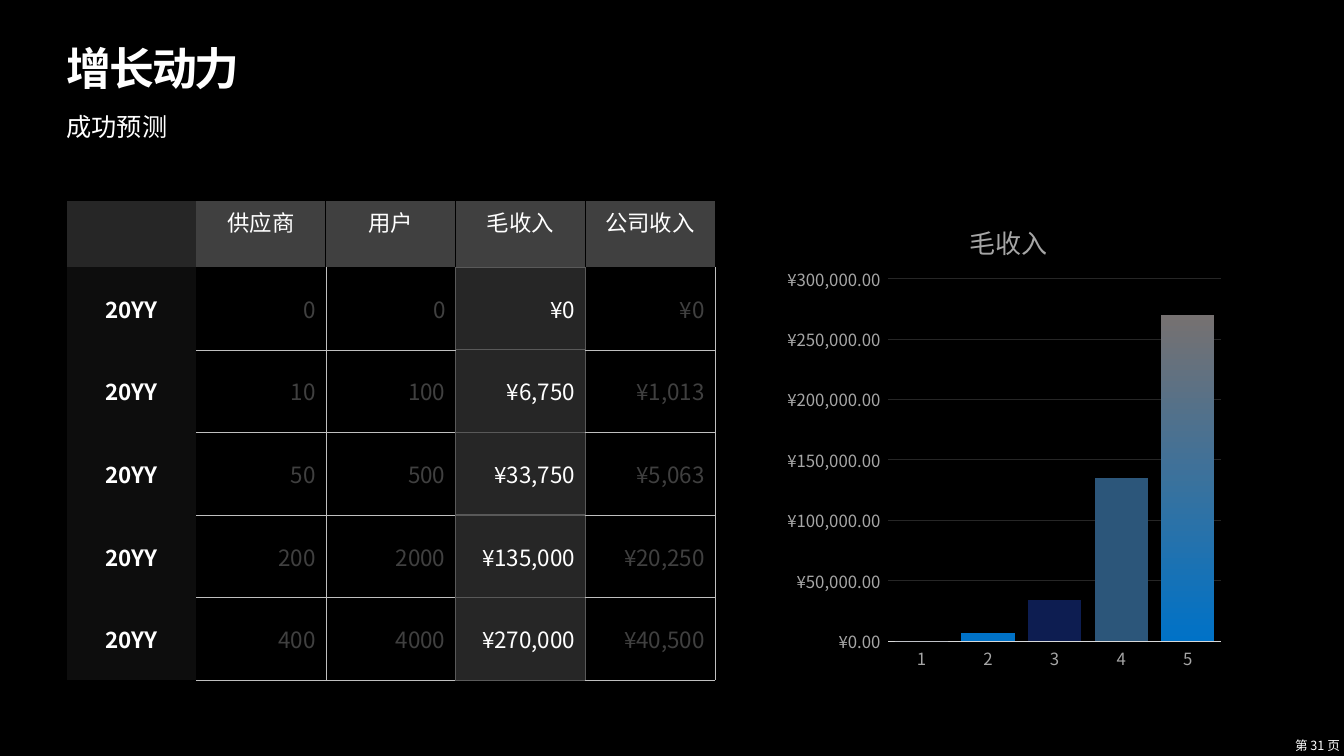
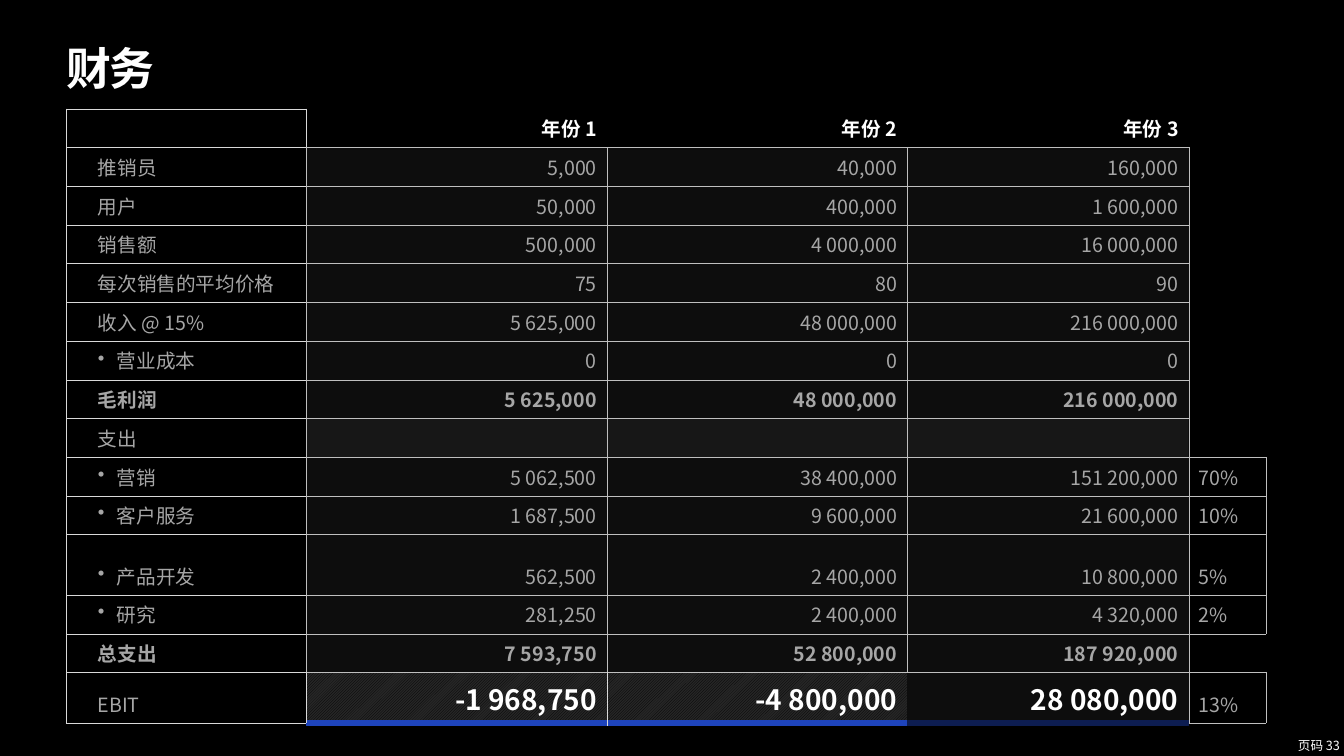
import lxml.etree
import pptx
import pptx.chart.data
import pptx.dml.color
import pptx.enum.chart
import pptx.enum.dml
import pptx.enum.text
import pptx.oxml.ns
import pptx.util

Inches = pptx.util.Inches
Pt = pptx.util.Pt
qn = pptx.oxml.ns.qn
ALIGN = pptx.enum.text.PP_ALIGN
ANCHOR = pptx.enum.text.MSO_ANCHOR

FONT = "Noto Sans CJK SC"
COLORS = {
    "black": "000000", "white": "FFFFFF", "panel": "0D0D0D", "dark": "262626",
    "header": "404040", "edge": "595959", "muted": "A6A6A6", "rule": "BFBFBF",
    "pale": "D9D9D9", "navy": "0D1D51", "royal": "1E44BC", "sky": "0072C7",
    "steel": "2C567A", "stone": "767171",
}
RGB = {name: pptx.dml.color.RGBColor.from_string(value) for name, value in COLORS.items()}
TEXT = {
    "title": ("white", {"size": Pt(32), "bold": True}),
    "subtitle": ("white", {"size": Pt(18), "bold": False}),
    "footer": ("white", {"size": Pt(9), "bold": False}),
    "head": ("white", {"size": Pt(16), "bold": False}),
    "year": ("white", {"size": Pt(16), "bold": True}),
    "faint": ("header", {"size": Pt(16), "bold": False}),
    "column": ("white", {"size": Pt(14), "bold": True}),
    "figure": ("muted", {"size": Pt(14), "bold": False}),
    "total": ("muted", {"size": Pt(14), "bold": True}),
    "result": ("white", {"size": Pt(20), "bold": True}),
    "axis": ("muted", {"size": Pt(12), "bold": False}),
    "chart title": ("muted", {"size": Pt(18.6), "bold": False}),
}
RULE, PALE, BLACK = ("rule", 0.25), ("pale", 0.25), ("black", 0.25)
EDGE, GAP = ("edge", 1), ("black", 1)


def write(frame, text, style, align=ALIGN.LEFT):
    """Fill the first paragraph of a text frame in a named style."""
    color, values = TEXT[style]
    paragraph = frame.paragraphs[0]
    paragraph.alignment = align
    if not text:
        size = str(int(values["size"].pt * 100))
        lxml.etree.SubElement(paragraph._p, qn("a:endParaRPr"), sz=size)
        return paragraph
    run = paragraph.add_run()
    run.text = text
    for attribute, value in {"name": FONT, **values}.items():
        setattr(run.font, attribute, value)
    run.font.color.rgb = RGB[color]
    lxml.etree.SubElement(run._r.get_or_add_rPr(), qn("a:ea"), typeface=FONT)
    return paragraph


def paint(cell, fill, **borders):
    """Draw the given sides (L, R, T, B) of a cell, then its fill."""
    properties = cell._tc.get_or_add_tcPr()
    for side in "LRTB":
        if borders.get(side):
            color, width = borders[side]
            line = lxml.etree.SubElement(properties, qn(f"a:ln{side}"), w=str(Pt(width)))
            solid = lxml.etree.SubElement(line, qn("a:solidFill"))
            lxml.etree.SubElement(solid, qn("a:srgbClr"), val=COLORS[color])
    if fill:
        cell.fill.solid()
        cell.fill.fore_color.rgb = RGB[fill]
    else:
        cell.fill.background()


# Presentation and shared background
deck = pptx.Presentation()
deck.slide_width, deck.slide_height = Inches(13.33), Inches(7.5)
deck.slide_master.background.fill.solid()
deck.slide_master.background.fill.fore_color.rgb = RGB["black"]

# Titles, page labels and empty tables
PAGES = [
    ("增长动力", "第 31 页", 1.99, [1.286] * 5, [0.66] + [0.82] * 5),
    ("财务", "页码 33", 1.08, [2.38, 2.98, 2.98, 2.79, 0.77],
     [0.37] * 11 + [0.6] + [0.37] * 2 + [0.48]),
]
slides, tables = [], []
for heading, page_label, top, widths, heights in PAGES:
    slide = deck.slides.add_slide(deck.slide_layouts[5])
    title = slide.shapes.title
    title.left, title.top = Inches(0.66), Inches(0.47)
    title.width, title.height = Inches(10.91), Inches(0.47)
    footer = slide.shapes.add_textbox(Inches(12.69), Inches(7.31), Inches(0.6), Inches(0.17))
    for box in (title, footer):
        frame_format = {
            "margin_left": 0, "margin_right": 0, "margin_top": 0, "margin_bottom": 0,
            "word_wrap": True, "vertical_anchor": ANCHOR.MIDDLE,
            "auto_size": pptx.enum.text.MSO_AUTO_SIZE.NONE,
        }
        for attribute, value in frame_format.items():
            setattr(box.text_frame, attribute, value)
    line = write(title.text_frame, heading, "title")
    line.line_spacing = 0.9
    line.runs[0]._r.get_or_add_rPr().set("spc", "-150")
    write(footer.text_frame, page_label, "footer", ALIGN.RIGHT)

    table = slide.shapes.add_table(
        len(heights), len(widths), Inches(0.66), Inches(top),
        Inches(sum(widths)), Inches(sum(heights))).table
    table.first_row = table.horz_banding = False
    # The plain style has neither grid nor bands
    table._tbl.tblPr[0].text = "{2D5ABB26-0587-4C30-8999-92F81FD0307C}"
    for column, width in zip(table.columns, widths):
        column.width = Inches(width)
    for row, height in zip(table.rows, heights):
        row.height = Inches(height)
    slides.append(slide)
    tables.append(table)

# Growth: subtitle
subtitle = slides[0].shapes.add_textbox(Inches(0.66), Inches(1.1), Inches(10.91), Inches(0.28))
subtitle.text_frame.word_wrap = True
for side in ("left", "right", "top", "bottom"):
    setattr(subtitle.text_frame, f"margin_{side}", 0)
write(subtitle.text_frame, "成功预测", "subtitle")

# Growth: forecast table
FORECAST = [
    ("", "供应商", "用户", "毛收入", "公司收入"),
    ("20YY", "0", "0", "¥0", "¥0"),
    ("20YY", "10", "100", "¥6,750", "¥1,013"),
    ("20YY", "50", "500", "¥33,750", "¥5,063"),
    ("20YY", "200", "2000", "¥135,000", "¥20,250"),
    ("20YY", "400", "4000", "¥270,000", "¥40,500"),
]
REVENUE = 3
right_edges = [None, RULE, EDGE, EDGE, RULE]
for r, values in enumerate(FORECAST):
    for c, value in enumerate(values):
        cell = tables[0].cell(r, c)
        if r == 0:
            write(cell.text_frame, value, "head", ALIGN.CENTER)
            paint(cell, "header" if c else "dark",
                  L=GAP if c > 1 else None, R=GAP if 0 < c < 4 else None,
                  B=EDGE if c == REVENUE else None)
            continue
        cell.vertical_anchor = ANCHOR.MIDDLE
        if c == 0:
            write(cell.text_frame, value, "year", ALIGN.CENTER)
            paint(cell, "panel")
            continue
        is_revenue = c == REVENUE
        write(cell.text_frame, value, "head" if is_revenue else "faint", ALIGN.RIGHT)
        across = EDGE if is_revenue else RULE
        paint(cell, "dark" if is_revenue else None, L=right_edges[c - 1], R=right_edges[c],
              T=across if r > 1 or is_revenue else None, B=across)

# Growth: gross revenue chart
chart_data = pptx.chart.data.CategoryChartData()
chart_data.categories = ["1", "2", "3", "4", "5"]
chart_data.add_series("Series 1", (0, 7000, 34000, 135000, 270000))
chart = slides[0].shapes.add_chart(
    pptx.enum.chart.XL_CHART_TYPE.COLUMN_CLUSTERED,
    Inches(7.74), Inches(1.89), Inches(4.46), Inches(4.86), chart_data).chart
chart.has_legend = False
chart.has_title = True
write(chart.chart_title.text_frame, "毛收入", "chart title", ALIGN.CENTER)
chart.chart_title.include_in_layout = False

categories, amounts = chart.category_axis, chart.value_axis
for font in (chart.font, categories.tick_labels.font, amounts.tick_labels.font):
    for attribute, value in {"name": FONT, **TEXT["axis"][1]}.items():
        setattr(font, attribute, value)
    font.color.rgb = RGB["muted"]
for axis in (categories, amounts):
    axis.major_tick_mark = axis.minor_tick_mark = pptx.enum.chart.XL_TICK_MARK.NONE
for attribute, value in {"minimum_scale": 0, "maximum_scale": 300000, "major_unit": 50000,
                         "has_major_gridlines": True}.items():
    setattr(amounts, attribute, value)
amounts.tick_labels.number_format = '"¥"#,##0.00_);\\("¥"#,##0.00\\)'
amounts.tick_labels.number_format_is_linked = False
amounts.format.line.fill.background()
for line, color in ((categories.format.line, "pale"),
                    (amounts.major_gridlines.format.line, "dark")):
    line.color.rgb = RGB[color]
    line.width = Pt(0.75)

plot = chart.plots[0]
plot.gap_width = 25
plot.vary_by_categories = False
series = plot.series[0]
series.format.fill.solid()
series.format.fill.fore_color.rgb = RGB["navy"]
for index, color in ((1, "sky"), (3, "steel")):
    bar = series.points[index].format.fill
    bar.solid()
    bar.fore_color.rgb = RGB[color]
last_bar = series.points[4].format.fill
last_bar.gradient()
last_bar.gradient_angle = 270
for stop, position, color in zip(last_bar.gradient_stops, (0, 1), ("stone", "sky")):
    stop.position = position
    stop.color.rgb = RGB[color]

# Fixed places for the chart title and the plot area, as shares of the chart
PLACES = [
    (chart.chart_title._element, {"x": 0.41, "y": 0.05}),
    (chart._chartSpace.chart.plotArea, {"x": 0.24, "y": 0.18, "w": 0.74, "h": 0.74}),
]
for part, place in PLACES:
    for old_layout in part.findall(qn("c:layout")):
        part.remove(old_layout)
    layout = lxml.etree.Element(qn("c:layout"))
    manual = lxml.etree.SubElement(layout, qn("c:manualLayout"))
    if "w" in place:
        lxml.etree.SubElement(manual, qn("c:layoutTarget"), val="inner")
    for key in ("x", "y"):
        lxml.etree.SubElement(manual, qn(f"c:{key}Mode"), val="edge")
    for key, share in place.items():
        lxml.etree.SubElement(manual, qn(f"c:{key}"), val=str(share))
    text_part = part.find(qn("c:tx"))
    part.insert(0 if text_part is None else 1, layout)

# Finance: label, three years, share; "•" marks an indented item
FINANCE = [
    ("", "年份 1", "年份 2", "年份 3", ""),
    ("推销员", "5,000", "40,000", "160,000", ""),
    ("用户", "50,000", "400,000", "1 600,000", ""),
    ("销售额", "500,000", "4 000,000", "16 000,000", ""),
    ("每次销售的平均价格", "75", "80", "90", ""),
    ("收入 @ 15%", "5 625,000", "48 000,000", "216 000,000", ""),
    ("•营业成本", "0", "0", "0", ""),
    ("毛利润", "5 625,000", "48 000,000", "216 000,000", ""),
    ("支出", "", "", "", ""),
    ("•营销", "5 062,500", "38 400,000", "151 200,000", "70%"),
    ("•客户服务", "1 687,500", "9 600,000", "21 600,000", "10%"),
    ("•产品开发", "562,500", "2 400,000", "10 800,000", "5%"),
    ("•研究", "281,250", "2 400,000", "4 320,000", "2%"),
    ("总支出", "7 593,750", "52 800,000", "187 920,000", ""),
    ("EBIT", "-1 968,750", "-4 800,000", "28 080,000", "13%"),
]
TOTALS = ("毛利润", "总支出")
last = len(FINANCE) - 1
for r, values in enumerate(FINANCE):
    label = values[0]
    for c, value in enumerate(values):
        cell = tables[1].cell(r, c)
        cell.vertical_anchor = ANCHOR.BOTTOM
        style = "total" if label in TOTALS else "figure"
        if c == 0:
            cell.margin_left = Inches(0.31)
            if value.startswith("•"):
                bullet = cell.text_frame.paragraphs[0]._p.get_or_add_pPr()
                bullet.set("marL", str(Inches(0.19)))
                bullet.set("indent", str(-Inches(0.19)))
                lxml.etree.SubElement(bullet, qn("a:buChar"), char="•")
            write(cell.text_frame, value.lstrip("•"), style)
            paint(cell, "black", L=PALE, R=RULE if 0 < r < last else PALE, T=PALE, B=PALE)
        elif c == 4:
            write(cell.text_frame, value, style)
            above = r > 0 and FINANCE[r - 1][4]
            below = r < last and FINANCE[r + 1][4]
            paint(cell, None, L=RULE if r else BLACK, R=RULE if value else None,
                  T=RULE if value or above else None, B=RULE if value or below else None)
        elif r == 0:
            write(cell.text_frame, value, "column", ALIGN.RIGHT)
            paint(cell, "black", L=PALE if c == 1 else BLACK, R=BLACK, T=BLACK, B=RULE)
        elif r == last:
            write(cell.text_frame, value, "result", ALIGN.RIGHT)
            paint(cell, "panel", L=PALE if c == 1 else None, R=RULE if c == 3 else None,
                  T=RULE, B=("navy" if c == 3 else "royal", 4.5))
            if value.startswith("-"):
                cell.fill.patterned()
                cell.fill.pattern = pptx.enum.dml.MSO_PATTERN.DARK_UPWARD_DIAGONAL
                cell.fill.fore_color.rgb = RGB["black"]
                cell.fill.back_color.rgb = RGB["dark"]
        else:
            write(cell.text_frame, value, style, ALIGN.RIGHT)
            paint(cell, "panel" if value else "header", L=RULE, R=RULE, T=RULE, B=RULE)
            if not value:
                tint = cell._tc.tcPr.find(qn("a:solidFill"))[0]
                lxml.etree.SubElement(tint, qn("a:alpha"), val="36000")

deck.save("out.pptx")
